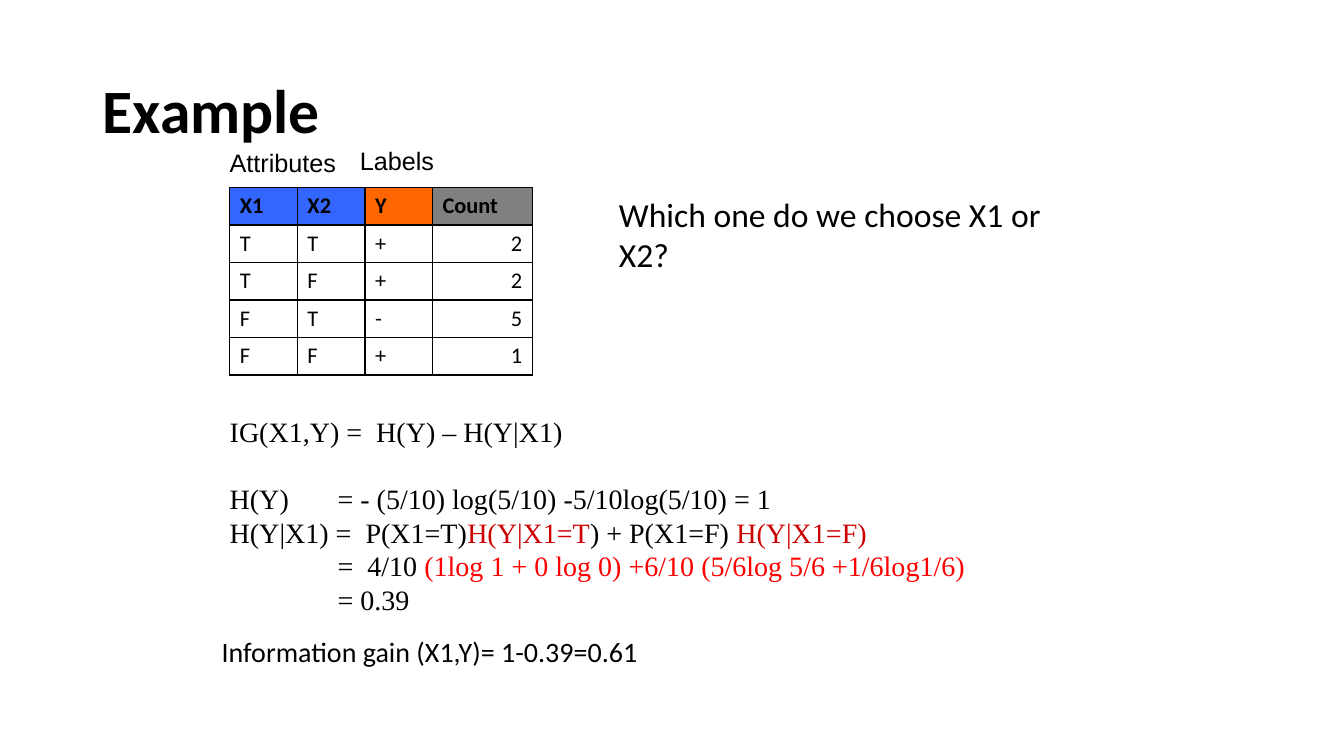
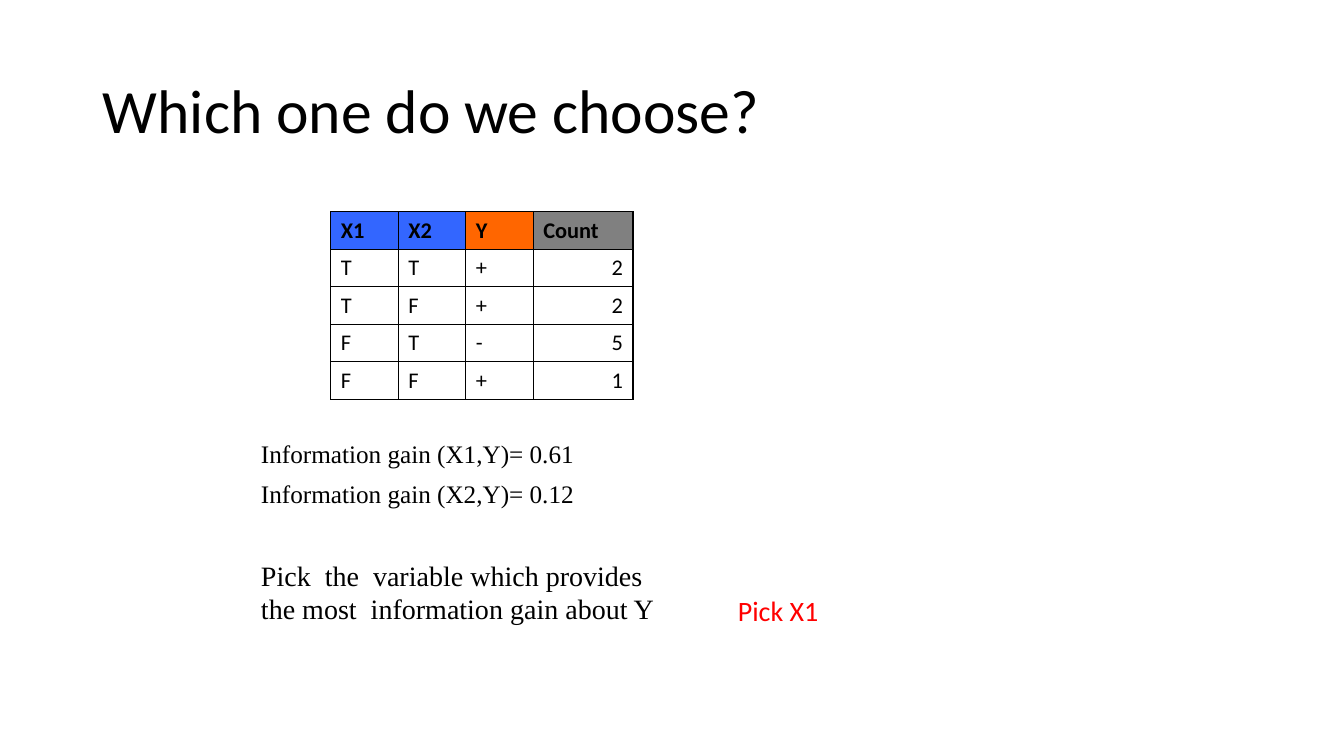
from pptx import Presentation
from pptx.dml.color import RGBColor as RGB
from pptx.enum.text import MSO_ANCHOR as Anchor, MSO_AUTO_SIZE as Fit, PP_ALIGN as Align
from pptx.oxml import parse_xml
from pptx.oxml.ns import nsdecls
from pptx.util import Inches, Pt

COL = {"ink": "000000", "blue": "3366FF", "orange": "FF6600",
       "grey": "808080", "dark": "CC0000", "red": "FF0000"}
SANS, SERIF, LABEL = "Calibri", "Times New Roman", "Arial"

HEAD = [("X1", "blue"), ("X2", "blue"), ("Y", "orange"), ("Count", "grey")]
ROWS = ["TT+2", "TF+2", "FT-5", "FF+1"]
WIDTHS = [0.67, 0.67, 0.67, 0.99]
ROW_H = 0.37


def style(run, size, font, color="ink", bold=False):
    run.font.size = Pt(size)
    run.font.name = font
    run.font.bold = bold
    run.font.color.rgb = RGB.from_string(COL[color])


def new_slide(deck, title, bold=False):
    """Add a title-only slide with its heading."""
    slide = deck.slides.add_slide(deck.slide_layouts[5])
    head = slide.shapes.title
    head.left, head.top = Inches(0.92), Inches(0.4)
    head.width, head.height = Inches(11.5), Inches(1.45)
    frame = head.text_frame
    frame.text = title
    frame.vertical_anchor = Anchor.MIDDLE
    para = frame.paragraphs[0]
    para.alignment = Align.LEFT
    para.line_spacing = 0.9
    style(para.runs[0], 44, SANS, bold=bold)
    return slide


def add_text(slide, box, lines, size, font, color="ink", wrap=False):
    """Place lines; a line is a string or a list of (text, colour) parts."""
    shape = slide.shapes.add_textbox(*map(Inches, box))
    frame = shape.text_frame
    frame.word_wrap = wrap
    frame.auto_size = Fit.SHAPE_TO_FIT_TEXT
    for i, line in enumerate(lines):
        para = frame.paragraphs[0] if i == 0 else frame.add_paragraph()
        parts = [(line, color)] if isinstance(line, str) else line
        for text, tone in parts:
            run = para.add_run()
            run.text = text
            style(run, size, font, tone)
    return frame


def add_tab(para, pos):
    para._p.get_or_add_pPr().append(parse_xml(
        f'<a:tabLst {nsdecls("a")}><a:tab pos="{Inches(pos)}" algn="l"/></a:tabLst>'))


def add_edges(cell):
    props = cell._tc.get_or_add_tcPr()
    for side in ("lnL", "lnR", "lnT", "lnB"):
        props.append(parse_xml(
            f'<a:{side} {nsdecls("a")} w="{Pt(1)}"><a:solidFill>'
            f'<a:srgbClr val="{COL["ink"]}"/></a:solidFill></a:{side}>'))


def add_counts(slide, left, top):
    """Table of attribute values, labels and counts."""
    size = sum(WIDTHS), ROW_H * (len(ROWS) + 1)
    table = slide.shapes.add_table(len(ROWS) + 1, len(HEAD),
                                   *map(Inches, (left, top, *size))).table
    table.first_row = table.horz_banding = False
    for col, width in zip(table.columns, WIDTHS):
        col.width = Inches(width)
    for r, values in enumerate([[name for name, _ in HEAD], *ROWS]):
        table.rows[r].height = Inches(ROW_H)
        for c, value in enumerate(values):
            cell = table.cell(r, c)
            cell.text = value
            cell.vertical_anchor = Anchor.BOTTOM
            add_edges(cell)
            para = cell.text_frame.paragraphs[0]
            style(para.runs[0], 16, SANS, bold=r == 0)
            if r == 0:
                cell.fill.solid()
                cell.fill.fore_color.rgb = RGB.from_string(COL[HEAD[c][1]])
            else:
                cell.fill.background()
                if c == len(HEAD) - 1:
                    para.alignment = Align.RIGHT


def add_proof(slide, left, top):
    """Working for the gain of X1, with equals signs on one tab stop."""
    frame = add_text(slide, (left, top, 8.66, 2.1), [
        "IG(X1,Y) =  H(Y) – H(Y|X1)",
        "H(Y)\t= - (5/10) log(5/10) -5/10log(5/10) = 1",
        [("H(Y|X1) =  P(X1=T)", "ink"), ("H(Y|X1=T", "dark"),
         (") + P(X1=F) ", "ink"), ("H(Y|X1=F)", "dark")],
        [("\t=  4/10 ", "ink"),
         ("(1log 1 + 0 log 0) +6/10 (5/6log 5/6 +1/6log1/6)", "red")],
        "\t= 0.39",
    ], 20, SERIF, wrap=True)
    for para in frame.paragraphs[1:]:
        add_tab(para, 1.07)
    frame.paragraphs[1].space_before = Pt(24)


def example(deck):
    slide = new_slide(deck, "Example", bold=True)
    add_counts(slide, 2.28, 1.86)
    # Column labels
    add_text(slide, (2.18, 1.41, 1.26, 0.4), ["Attributes"], 18, LABEL)
    add_text(slide, (3.47, 1.39, 0.94, 0.4), ["Labels"], 18, LABEL)
    # Working and result
    add_proof(slide, 2.18, 4.06)
    add_text(slide, (2.1, 6.25, 4.36, 0.43),
             ["Information gain (X1,Y)= 1-0.39=0.61"], 20, SANS)
    # Question
    add_text(slide, (6.04, 1.87, 4.95, 0.5),
             ["Which one do we choose X1 or X2?"], 24, SANS)


def choice(deck):
    slide = new_slide(deck, "Which one do we choose?")
    add_counts(slide, 3.28, 2.1)
    # Gains
    for i, (name, gain) in enumerate([("X1", "0.61"), ("X2", "0.12")]):
        add_text(slide, (2.49, 4.3 + 0.4 * i, 3.31, 0.4),
                 [f"Information gain ({name},Y)= {gain}"], 18, SERIF)
    # Rule and answer
    add_text(slide, (7.22, 5.84, 1, 0.43), ["Pick X1"], 20, SANS, "red")
    add_text(slide, (2.49, 5.49, 7.72, 0.77),
             ["Pick  the  variable which provides",
              "the most  information gain about Y"], 20, SERIF, wrap=True)


def main():
    deck = Presentation()
    deck.slide_width, deck.slide_height = Inches(13.33), Inches(7.5)
    example(deck)
    choice(deck)
    deck.save("out.pptx")


if __name__ == "__main__":
    main()
